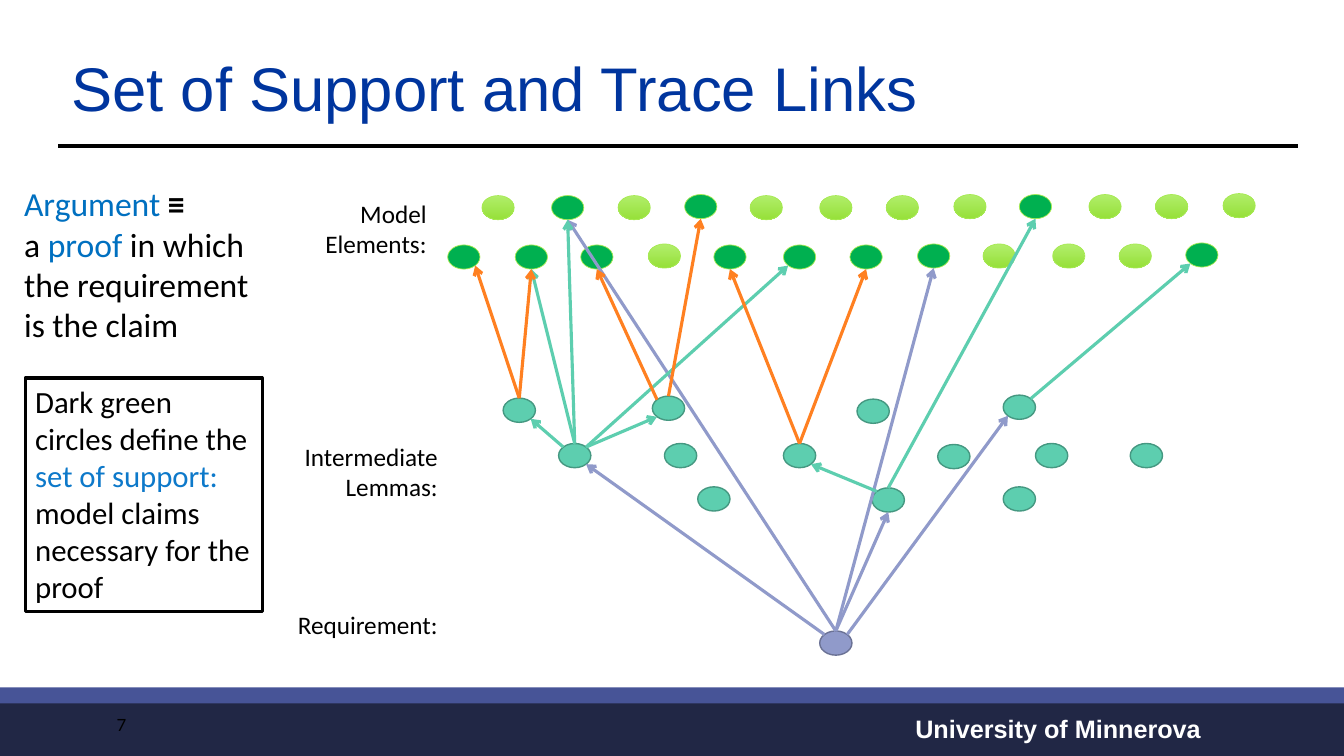
import pptx
import pptx.util
import pptx.dml.color
import pptx.enum.shapes
import pptx.enum.text
import pptx.oxml.ns
import lxml.etree

Inches, Pt = pptx.util.Inches, pptx.util.Pt
RGB = pptx.dml.color.RGBColor
Shape = pptx.enum.shapes.MSO_SHAPE
Align, Anchor = pptx.enum.text.PP_ALIGN, pptx.enum.text.MSO_ANCHOR

BLACK, WHITE = RGB(0, 0, 0), RGB(255, 255, 255)
NAVY, BAND = RGB(0x21, 0x27, 0x45), RGB(0x47, 0x54, 0x97)
TITLE, BLUE, SKY = RGB(0x00, 0x35, 0x9E), RGB(0x00, 0x70, 0xC0), RGB(0x0D, 0x79, 0xCA)
GREEN, LIME = RGB(0x00, 0xB0, 0x50), RGB(0xA7, 0xEA, 0x52)
PALE, DEEP = RGB(0xB1, 0xEE, 0x6B), RGB(0x96, 0xE0, 0x39)
TEAL, PINE = RGB(0x5D, 0xCE, 0xAF), RGB(0x45, 0x98, 0x81)
LILAC, SLATE = RGB(0x90, 0x9A, 0xCA), RGB(0x6B, 0x72, 0x95)
ORANGE = RGB(0xFF, 0x80, 0x21)

# Nodes: key -> left, top. a = upper elements, b = lower elements, m = lemmas, r = requirement
nodes = {
    "r": (8.13, 6.26),
    "m1": (4.99, 3.95), "m2": (5.54, 4.4), "m3": (6.47, 3.93), "m4": (7.77, 4.4),
    "m5": (8.5, 3.96), "m6": (6.92, 4.83), "m7": (9.3, 4.41), "m8": (9.95, 3.92),
    "m9": (8.65, 4.84), "m10": (11.21, 4.4), "m11": (10.27, 4.4),
    "m12": (6.59, 4.4), "m13": (9.95, 4.83),
    "b1": (4.44, 2.43), "b2": (5.11, 2.43), "b3": (5.76, 2.43), "b4": (6.43, 2.42),
    "b5": (7.08, 2.43), "b6": (7.77, 2.43), "b7": (8.43, 2.43), "b8": (9.1, 2.42),
    "b9": (9.75, 2.42), "b10": (10.44, 2.42), "b11": (11.1, 2.42), "b12": (11.76, 2.41),
    "a1": (4.78, 1.94), "a2": (5.47, 1.94), "a3": (6.13, 1.94), "a4": (6.79, 1.93),
    "a5": (7.44, 1.94), "a6": (8.13, 1.94), "a7": (8.79, 1.94), "a8": (9.46, 1.93),
    "a9": (10.11, 1.93), "a10": (10.8, 1.93), "a11": (11.46, 1.93), "a12": (12.13, 1.92),
}
support = {"a2", "a4", "a9", "b1", "b2", "b3", "b5", "b6", "b7", "b8", "b12"}

# Trace links: start node, side, end node, side (n, s and the diagonals)
links = {
    LILAC: ["r nw m2 se", "r n m9 s", "r ne m8 sw", "r n a2 s", "r n b8 s"],
    TEAL: ["m9 nw m4 se", "m2 nw m1 se", "m2 ne m3 sw", "m2 n b2 s", "m2 n a2 s",
           "m2 ne b6 sw", "m9 n a9 s", "m8 ne b12 sw"],
    ORANGE: ["m1 n b1 se", "m1 n b2 s", "m3 nw b3 s", "m3 n a4 s", "m4 n b5 s", "m4 n b7 s"],
}

# Texts: box, size, font, align, anchor, paragraphs of (text, colour, bold)
texts = [
    ((8.98, 7.03, 4.3, 0.4), 18, "Arial", Align.LEFT, Anchor.TOP,
     [[("University of Minnerova", WHITE, True)]]),
    ((2, 1.92, 2.33, 0.71), 18, "Calibri", Align.RIGHT, Anchor.TOP,
     [[("Model", BLACK, False)], [("Elements:", BLACK, False)]]),
    ((2, 4.33, 2.44, 0.71), 18, "Calibri", Align.RIGHT, Anchor.TOP,
     [[("Intermediate Lemmas:", BLACK, False)]]),
    ((2, 6, 2.44, 0.4), 18, "Calibri", Align.RIGHT, Anchor.TOP,
     [[("Requirement:", BLACK, False)]]),
    ((0.61, 6.99, 1.19, 0.4), 12, "Lato", Align.CENTER, Anchor.MIDDLE,
     [[("7", BLACK, False)]]),
    ((0.14, 1.77, 2.55, 1.72), 24, "Calibri", Align.LEFT, Anchor.TOP,
     [[("Argument ", BLUE, False), ("≡", BLACK, True), ("\n", BLACK, False),
       ("a ", BLACK, False), ("proof", BLUE, False),
       (" in which the requirement is the claim", BLACK, False)]]),
]
claim = [[("Dark green circles define the ", BLACK, False), ("set of support: ", SKY, False),
          ("model claims necessary for the proof", BLACK, False)]]

WIDE, HIGH = 0.32, 0.24
DIAG = 0.7071

deck = pptx.Presentation()
deck.slide_width, deck.slide_height = Inches(13.33), Inches(7.5)
slide = deck.slides.add_slide(deck.slide_layouts[5])
shapes = slide.shapes


def place(box):
    return [Inches(v) for v in box]


def draw(kind, box, fill=None, edge=None, width=1):
    shape = shapes.add_shape(kind, *place(box))
    shape.shadow.inherit = False
    if fill is None:
        shape.fill.background()
    else:
        shape.fill.solid()
        shape.fill.fore_color.rgb = fill
    if edge is None:
        shape.line.fill.background()
    else:
        shape.line.color.rgb = edge
        shape.line.width = Pt(width)
    return shape


def write(shape, size, font, align, anchor, paras):
    frame = shape.text_frame
    frame.word_wrap = True
    frame.vertical_anchor = anchor
    for i, parts in enumerate(paras):
        para = frame.add_paragraph() if i else frame.paragraphs[0]
        para.alignment = align
        for text, color, bold in parts:
            if text == "\n":
                para.add_line_break()
                continue
            run = para.add_run()
            run.text = text
            run.font.size, run.font.name, run.font.bold = Pt(size), font, bold
            run.font.color.rgb = color


def join(start, end, color, width, arrow=False):
    line = shapes.add_connector(pptx.enum.shapes.MSO_CONNECTOR.STRAIGHT,
                                *place(start + end))
    line.line.color.rgb = color
    line.line.width = Pt(width)
    if arrow:
        tip = lxml.etree.SubElement(line.line._get_or_add_ln(), pptx.oxml.ns.qn("a:tailEnd"))
        tip.set("type", "arrow")
    lxml.etree.SubElement(line._element.spPr, pptx.oxml.ns.qn("a:effectLst"))


def rim(key, side):
    """Point on a node's outline in the given compass direction."""
    dx = ("e" in side) - ("w" in side)
    dy = ("s" in side) - ("n" in side)
    scale = DIAG if dx and dy else 1
    left, top = nodes[key]
    return (left + WIDE / 2 * (1 + dx * scale), top + HIGH / 2 * (1 + dy * scale))


# Footer bands, rule and title
draw(Shape.RECTANGLE, (0, 6.97, 13.33, 0.53), NAVY)
draw(Shape.RECTANGLE, (0, 6.82, 13.33, 0.16), BAND)
join((0.58, 1.45), (12.87, 1.45), BLACK, 3)
title = shapes.title
title.left, title.top, title.width, title.height = place((0.61, 0.4, 12.26, 1.01))
write(title, 44, "Arial", Align.LEFT, Anchor.MIDDLE,
      [[("Set of Support and Trace Links", TITLE, False)]])
title.text_frame.paragraphs[0].line_spacing = 0.9

# Nodes
for key, (left, top) in nodes.items():
    box = (left, top, WIDE, HIGH)
    if key == "r":
        draw(Shape.OVAL, box, LILAC, SLATE)
    elif key[0] == "m":
        draw(Shape.OVAL, box, TEAL, PINE)
    elif key in support:
        draw(Shape.OVAL, box, GREEN, LIME, 0.5)
    else:
        fill = draw(Shape.OVAL, box, LIME, LIME, 0.5).fill
        fill.gradient()
        fill.gradient_angle = 270
        for stop, color in zip(fill.gradient_stops, (PALE, DEEP)):
            stop.color.rgb = color
        fill.gradient_stops[0].position, fill.gradient_stops[1].position = 0, 1

# Links
for color, routes in links.items():
    for route in routes:
        here, out, there, into = route.split()
        join(rim(here, out), rim(there, into), color, 2.25, True)

# Texts and framed claim
for box, *style in texts:
    write(shapes.add_textbox(*place(box)), *style)
frame = draw(Shape.RECTANGLE, (0.25, 3.75, 2.35, 2.32), None, BLACK, 2.25)
write(frame, 22, "Calibri", Align.LEFT, Anchor.TOP, claim)

deck.save("out.pptx")
